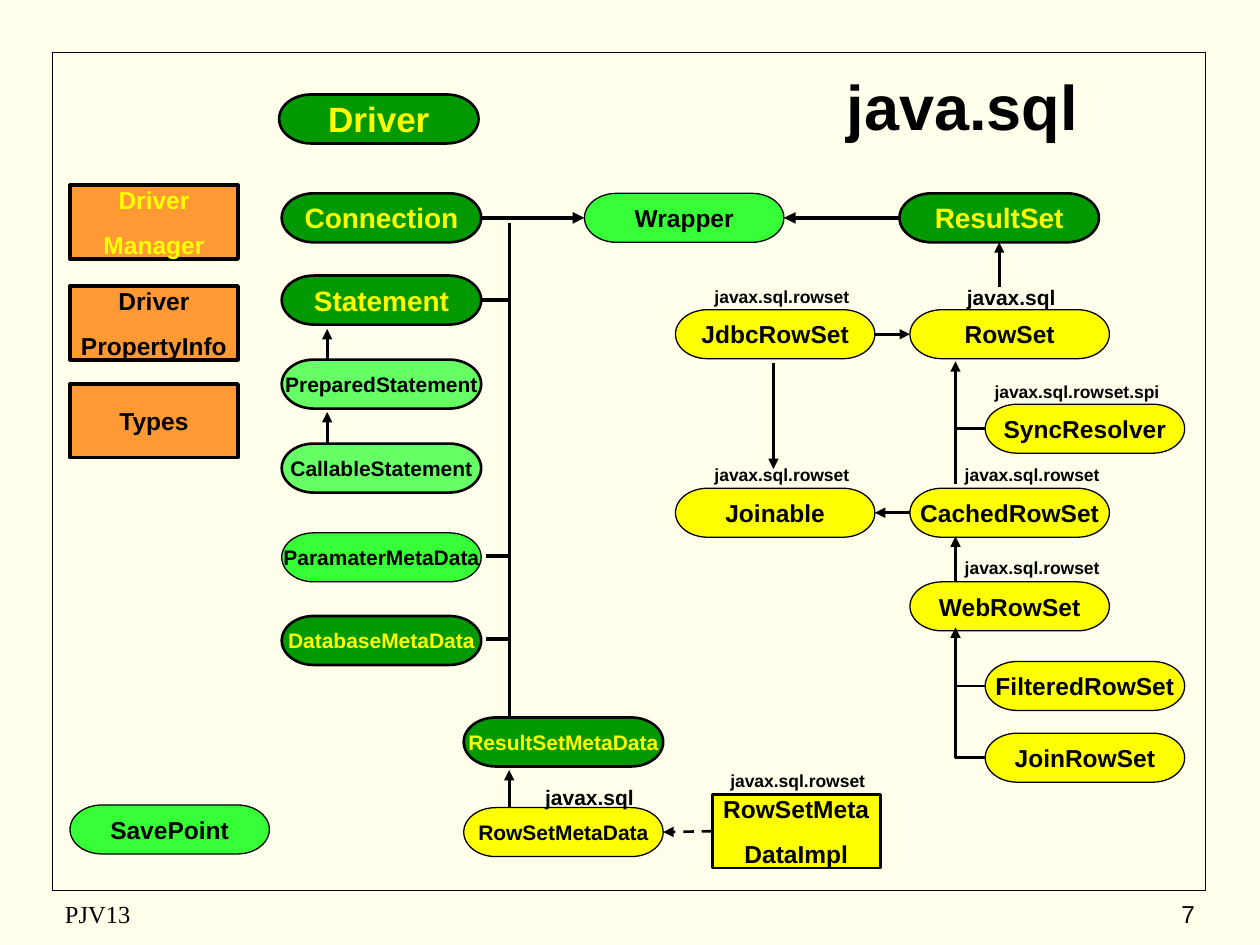
from lxml import etree
from pptx import Presentation
from pptx.dml.color import RGBColor
from pptx.enum.dml import MSO_LINE
from pptx.enum.shapes import MSO_CONNECTOR, MSO_SHAPE
from pptx.enum.text import MSO_ANCHOR as Anchor, PP_ALIGN as Align
from pptx.oxml.ns import qn
from pptx.util import Pt

CREAM = RGBColor(0xFF, 0xFF, 0xEB)
BLACK = RGBColor(0x00, 0x00, 0x00)
YELLOW = RGBColor(0xFF, 0xFF, 0x00)
ORANGE = RGBColor(0xFF, 0x99, 0x33)
DARK_GREEN = RGBColor(0x00, 0x99, 0x00)
BRIGHT_GREEN = RGBColor(0x37, 0xFF, 0x37)
PALE_GREEN = RGBColor(0x66, 0xFF, 0x66)

PILL_SIZE = (114, 28)
BOX_SIZE = (96, 42)
TOP, LEFT, BOTTOM, RIGHT = range(4)

# Pill styles: fill, text colour, line width
CORE = (DARK_GREEN, YELLOW, 1.5)
DERIVED = (PALE_GREEN, BLACK, 1.5)
HELPER = (BRIGHT_GREEN, BLACK, 0.75)
EXTENSION = (YELLOW, BLACK, 0.75)

# Interfaces: name, left, top, text size, style
PILLS = [
    ("Driver", 159.5, 54, 20, CORE),
    ("Connection", 161, 110.5, 16, CORE),
    ("Statement", 161, 157.5, 16, CORE),
    ("PreparedStatement", 161, 205.5, 12, DERIVED),
    ("CallableStatement", 161, 253.5, 12, DERIVED),
    ("ParamaterMetaData", 161, 304.5, 12, HELPER),
    ("DatabaseMetaData", 161, 352, 12, CORE),
    ("ResultSetMetaData", 265, 410, 12, CORE),
    ("RowSetMetaData", 265, 461.5, 12, EXTENSION),
    ("SavePoint", 40, 460, 14, HELPER),
    ("Wrapper", 334, 110.5, 14, HELPER),
    ("ResultSet", 514, 110.5, 16, CORE),
    ("JdbcRowSet", 386, 177, 14, EXTENSION),
    ("RowSet", 520, 177, 14, EXTENSION),
    ("SyncResolver", 563, 231, 14, EXTENSION),
    ("Joinable", 386, 279, 14, EXTENSION),
    ("CachedRowSet", 520, 279, 14, EXTENSION),
    ("WebRowSet", 520, 332.5, 14, EXTENSION),
    ("FilteredRowSet", 563, 378, 14, EXTENSION),
    ("JoinRowSet", 563, 419, 14, EXTENSION),
]

# Classes: lines of text, left, top, style
BOXES = [
    (("Driver", "Manager"), 40, 106, (ORANGE, YELLOW, 2.25)),
    (("Driver", "PropertyInfo"), 40, 163.5, (ORANGE, BLACK, 2.25)),
    (("Types",), 40, 219.5, (ORANGE, BLACK, 2.25)),
    (("RowSetMeta", "DataImpl"), 407, 454, (YELLOW, BLACK, 1.5)),
]

# Package labels: text, left, top, width, text size
LABELS = [
    ("javax.sql", 532, 159, 84, 12),
    ("javax.sql", 291, 445, 84, 12),
    ("javax.sql.rowset", 390, 160, 108, 10),
    ("javax.sql.rowset", 390, 261.5, 108, 10),
    ("javax.sql.rowset", 533, 261.5, 108, 10),
    ("javax.sql.rowset", 533, 315, 108, 10),
    ("javax.sql.rowset", 399, 436.5, 108, 10),
    ("javax.sql.rowset.spi", 550, 214, 130, 10),
]

# Ends are points (x, y) or joints (shape name, side)
ARROWS = [
    (("ResultSet", LEFT), ("Wrapper", RIGHT), 2.25),
    (("Connection", RIGHT), ("Wrapper", LEFT), 2.25),
    (("JdbcRowSet", RIGHT), ("RowSet", LEFT), 1.5),
    (("CachedRowSet", LEFT), ("Joinable", RIGHT), 1.5),
    ((571, 164), ("ResultSet", BOTTOM), 1.5),
    ((442, 207.5), (442, 268), 1.5),
    ((187, 253.5), (187, 235.5), 1.5),
    ((187, 205.5), (187, 188), 1.5),
    ((546, 276.5), (546, 206.5), 1.5),
    ((546, 332.5), (546, 306.5), 1.5),
    ((546, 433), (546, 358.5), 1.5),
    ((291, 462), (291, 440), 1.5),
]
BRANCHES = [
    ((291, 410), (291, 127.5), 1.5),
    ((291, 171.5), ("Statement", RIGHT), 2.25),
    ((291, 317.5), (278, 317.5), 2.25),
    ((291, 365), (278, 365), 2.25),
    ((546, 245), ("SyncResolver", LEFT), 1.5),
    ((546, 392), ("FilteredRowSet", LEFT), 1.5),
    ((546, 433), ("JoinRowSet", LEFT), 1.5),
]


def write_text(shape, lines, color=BLACK, align=Align.LEFT, **font_format):
    """Fill a shape with one paragraph per line."""
    frame = shape.text_frame
    frame.vertical_anchor = Anchor.MIDDLE
    frame.text = "\n".join(lines)
    formats = {"name": "Arial", "bold": True, **font_format}
    for index, paragraph in enumerate(frame.paragraphs):
        paragraph.alignment = align
        paragraph.space_before = Pt(8.8 if index else 0)
        paragraph.font.color.rgb = color
        for attribute, value in formats.items():
            setattr(paragraph.font, attribute, value)


def add_node(slide, kind, lines, position, size, text_size, style):
    fill, text_color, line_width = style
    shape = slide.shapes.add_shape(kind, *map(Pt, position + size))
    shape.shadow.inherit = False
    shape.fill.solid()
    shape.fill.fore_color.rgb = fill
    shape.line.color.rgb = BLACK
    shape.line.width = Pt(line_width)
    write_text(shape, lines, text_color, Align.CENTER, size=Pt(text_size))
    shape.text_frame.word_wrap = False
    return shape


def add_text(slide, text, left, top, width, height, **formats):
    box = slide.shapes.add_textbox(*map(Pt, (left, top, width, height)))
    box.text_frame.word_wrap = True
    write_text(box, [text], **formats)
    return box


def add_label(slide, text, left, top, width, text_size):
    box = add_text(slide, text, left, top, width, 1.2 * text_size + 7.2,
                   size=Pt(text_size))
    box.text_frame.vertical_anchor = Anchor.TOP
    box.text_frame.margin_left = Pt(7.2 + 1.11 * text_size)


def add_line(slide, nodes, start, end, width, arrow=False, dash=None):
    points = [(0, 0) if place[0] in nodes else place for place in (start, end)]
    line = slide.shapes.add_connector(
        MSO_CONNECTOR.STRAIGHT, *(Pt(value) for point in points for value in point))
    for place, join in ((start, line.begin_connect), (end, line.end_connect)):
        if place[0] in nodes:
            join(nodes[place[0]], place[1])
    line.line.color.rgb = BLACK
    line.line.width = Pt(width)
    if dash:
        line.line.dash_style = dash
    properties = line.element.spPr
    if arrow:
        outline = properties.find(qn("a:ln"))
        etree.SubElement(outline, qn("a:tailEnd"), type="triangle")
    etree.SubElement(properties, qn("a:effectLst"))


def add_frame(slide):
    frame = slide.shapes.add_shape(MSO_SHAPE.RECTANGLE, *map(Pt, (30, 30, 659, 479)))
    frame.shadow.inherit = False
    frame.fill.background()
    frame.line.color.rgb = BLACK
    frame.line.width = Pt(1)


def set_title(slide, text):
    title = slide.shapes.title
    bounds = {"left": 446.5, "top": 36.5, "width": 207, "height": 47.5}
    for attribute, value in bounds.items():
        setattr(title, attribute, Pt(value))
    write_text(title, [text], align=Align.CENTER, size=Pt(36))


def main():
    presentation = Presentation()
    presentation.slide_width, presentation.slide_height = Pt(720), Pt(540)
    slide = presentation.slides.add_slide(presentation.slide_layouts[5])
    slide.background.fill.solid()
    slide.background.fill.fore_color.rgb = CREAM

    add_frame(slide)
    set_title(slide, "java.sql")

    # Interfaces and classes
    nodes = {}
    for name, left, top, text_size, style in PILLS:
        nodes[name] = add_node(slide, MSO_SHAPE.FLOWCHART_TERMINATOR, [name],
                               (left, top), PILL_SIZE, text_size, style)
    for lines, left, top, style in BOXES:
        nodes["".join(lines)] = add_node(slide, MSO_SHAPE.RECTANGLE, lines,
                                         (left, top), BOX_SIZE, 14, style)

    # Relations
    for branch in BRANCHES:
        add_line(slide, nodes, *branch)
    for arrow in ARROWS:
        add_line(slide, nodes, *arrow, arrow=True)
    add_line(slide, nodes, ("RowSetMetaDataImpl", LEFT), ("RowSetMetaData", RIGHT),
             1.5, arrow=True, dash=MSO_LINE.DASH)

    # Package names
    for label in LABELS:
        add_label(slide, *label)

    # Footer
    add_text(slide, "PJV13", 30, 510, 228, 24,
             name="Times New Roman", bold=False, size=Pt(14))
    add_text(slide, "7", 540, 510, 150, 24,
             align=Align.RIGHT, bold=False, size=Pt(14))
    presentation.save("out.pptx")


if __name__ == "__main__":
    main()
